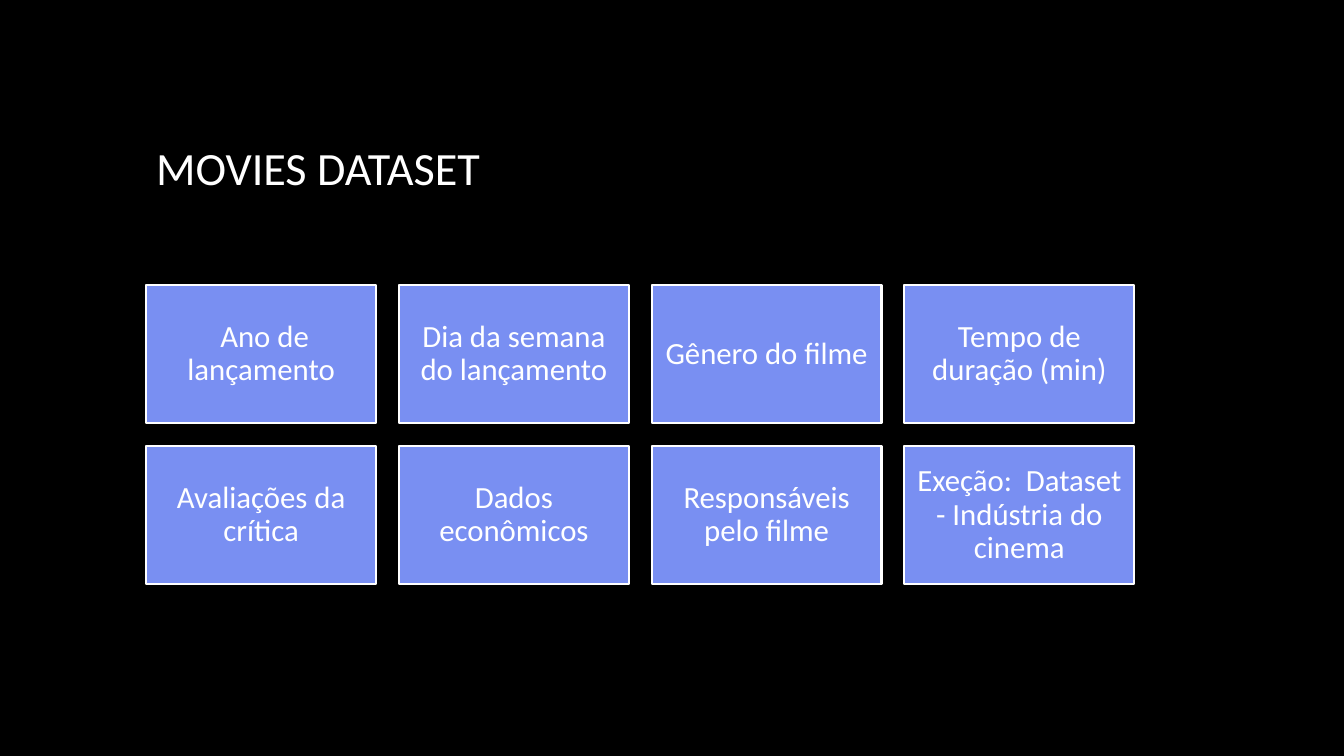
from dataclasses import dataclass

from pptx import Presentation
from pptx.dml.color import RGBColor as Color
from pptx.enum.shapes import MSO_SHAPE as Shape
from pptx.enum.text import MSO_ANCHOR as Anchor, PP_ALIGN as Align
from pptx.util import Inches, Pt

# Content
TITLE = "MOVIES DATASET"
CARDS = [
    [" Ano de lançamento", "Dia da semana do lançamento",
     "Gênero do filme", "Tempo de duração (min)"],
    ["Avaliações da crítica", "Dados econômicos",
     "Responsáveis pelo filme", "Exeção:  Dataset - Indústria do cinema"],
]


@dataclass(frozen=True)
class Theme:
    background: Color = Color.from_string("000000")
    card: Color = Color.from_string("798FF2")
    ink: Color = Color.from_string("FFFFFF")
    font: str = "Calibri"
    title_size: int = 33
    card_size: int = 22
    border: float = 1.5


THEME = Theme()

# Layout in inches
LEFT, GRID_TOP, GRID_WIDTH = 1.45, 2.83, 9.8
CARD_WIDTH, CARD_HEIGHT = 2.28, 1.37
COLUMNS = len(CARDS[0])
GAP = (GRID_WIDTH - COLUMNS * CARD_WIDTH) / (COLUMNS - 1)
CARD_INSET = 0.09


def write(box, text, size, align):
    frame = box.text_frame
    frame.text = text
    frame.word_wrap = True
    frame.vertical_anchor = Anchor.MIDDLE
    para = frame.paragraphs[0]
    para.alignment = align
    para.line_spacing = 0.9
    font = para.runs[0].font
    font.name = THEME.font
    font.size = Pt(size)
    font.color.rgb = THEME.ink
    return frame


def add_card(page, text, row, column):
    left = LEFT + column * (CARD_WIDTH + GAP)
    top = GRID_TOP + row * (CARD_HEIGHT + GAP)
    card = page.shapes.add_shape(Shape.RECTANGLE, Inches(left), Inches(top),
                                 Inches(CARD_WIDTH), Inches(CARD_HEIGHT))
    card.shadow.inherit = False
    card.fill.solid()
    card.fill.fore_color.rgb = THEME.card
    card.line.color.rgb = THEME.ink
    card.line.width = Pt(THEME.border)
    frame = write(card, text, THEME.card_size, Align.CENTER)
    frame.margin_left = frame.margin_right = Inches(CARD_INSET)
    frame.margin_top = frame.margin_bottom = Inches(CARD_INSET)


def main():
    deck = Presentation()
    deck.slide_width, deck.slide_height = Inches(13.33), Inches(7.5)
    page = deck.slides.add_slide(deck.slide_layouts[6])
    page.background.fill.solid()
    page.background.fill.fore_color.rgb = THEME.background

    # Title
    title = page.shapes.add_textbox(Inches(LEFT), Inches(1.13),
                                    Inches(4.48), Inches(1.13))
    write(title, TITLE, THEME.title_size, Align.LEFT)

    # Card grid
    for row, labels in enumerate(CARDS):
        for column, label in enumerate(labels):
            add_card(page, label, row, column)

    deck.save("out.pptx")


if __name__ == "__main__":
    main()
